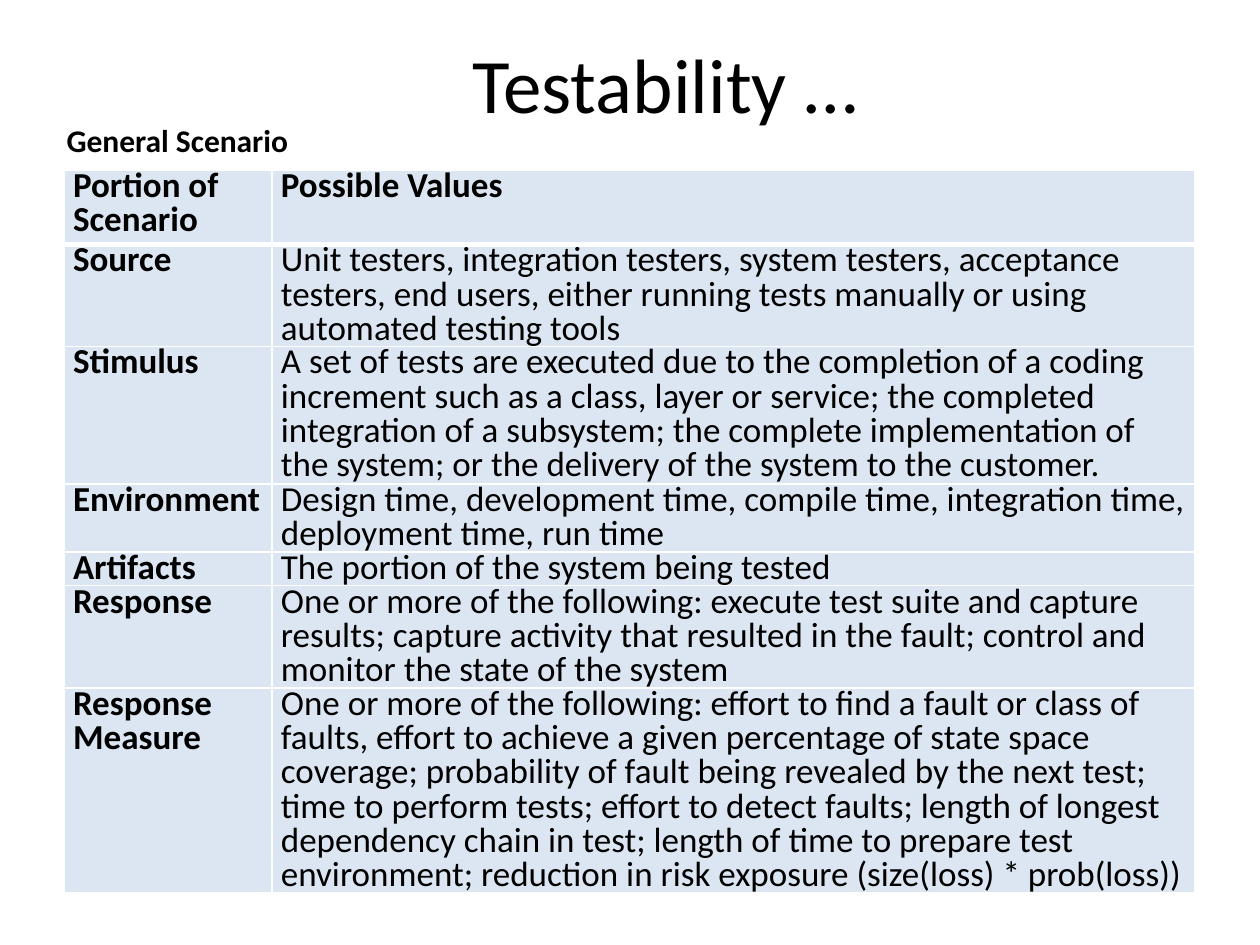
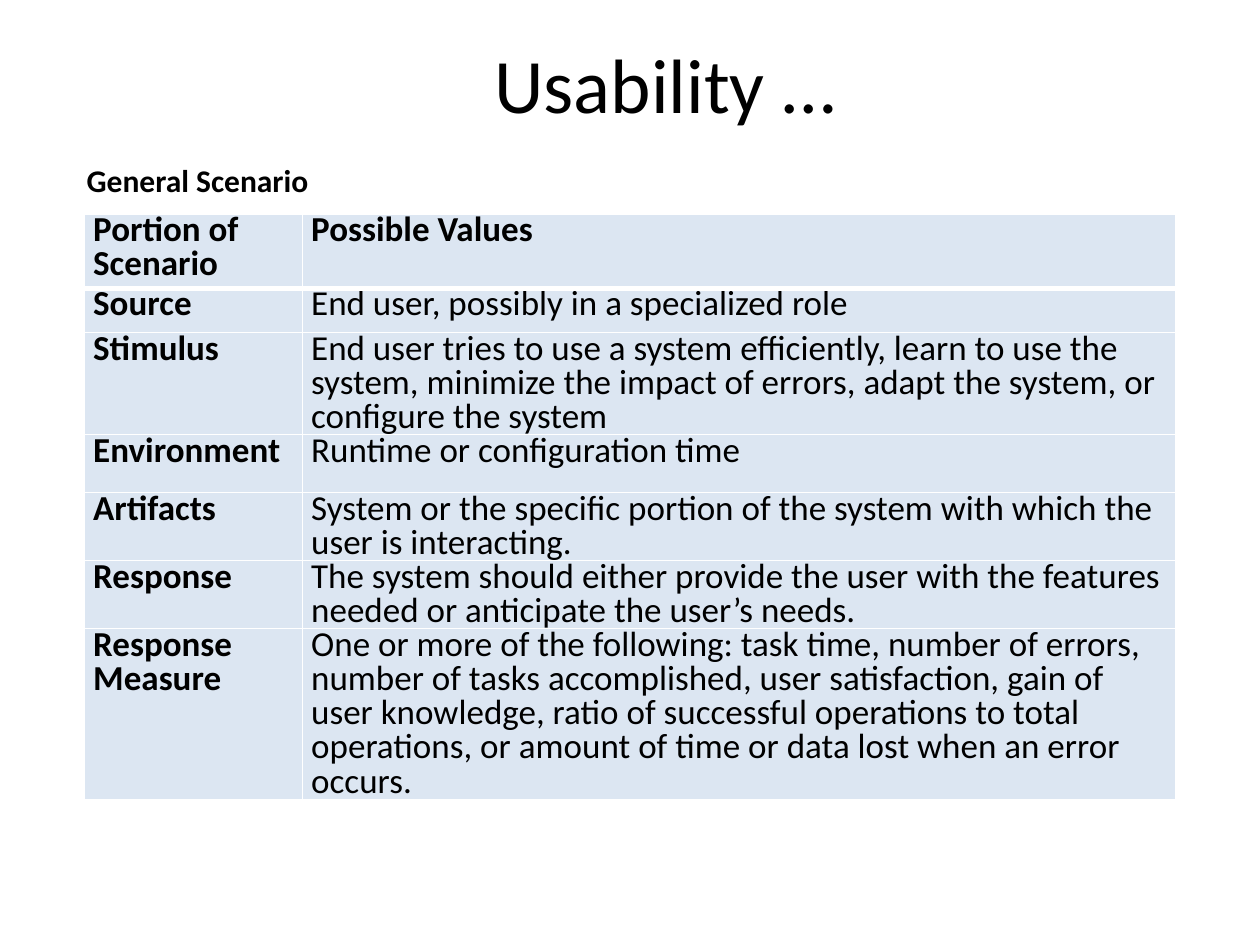
from lxml import etree
from pptx import Presentation
from pptx.dml.color import RGBColor
from pptx.enum import text
from pptx.oxml import ns
from pptx.util import Inches, Pt

FONT = "Calibri"
BLACK = "000000"
WHITE = "FFFFFF"
CELL_FILL = "DCE6F2"
LINE_SPACING = 0.8
THIN, THICK = 1, 3
TITLE_BOX = (1.06, 0.3, 8.44, 0.85)
HEADER = ("Portion of\nScenario", "Possible Values")
PORTIONS = ("Source", "Stimulus", "Environment", "Artifacts", "Response", "Response\nMeasure")

TESTABILITY = (
    "Unit testers, integration testers, system testers, acceptance testers, end users, "
    "either running tests manually or using automated testing tools",
    "A set of tests are executed due to the completion of a coding increment such as a class, "
    "layer or service; the completed integration of a subsystem; the complete implementation "
    "of the system; or the delivery of the system to the customer.",
    "Design time, development time, compile time, integration time, deployment time, run time",
    "The portion of the system being tested",
    "One or more of the following: execute test suite and capture results; capture activity "
    "that resulted in the fault; control and monitor the state of the system",
    "One or more of the following: effort to find a fault or class of faults, effort to achieve "
    "a given percentage of state space coverage; probability of fault being revealed by the "
    "next test; time to perform tests; effort to detect faults; length of longest dependency "
    "chain in test; length of time to prepare test environment; reduction in risk exposure "
    "(size(loss) * prob(loss))",
)
USABILITY = (
    "End user, possibly in a specialized role",
    "End user tries to use a system efficiently, learn to use the system, minimize the impact "
    "of errors, adapt the system, or configure the system",
    "Runtime or configuration time",
    "System or the specific portion of the system with which the user is interacting.",
    "The system should either provide the user with the features needed or anticipate the "
    "user’s needs.",
    "One or more of the following: task time, number of errors, number of tasks accomplished, "
    "user satisfaction, gain of user knowledge, ratio of successful operations to total "
    "operations, or amount of time or data lost when an error occurs.",
)


def color(value):
    """Turn a hex string into a colour."""
    return RGBColor.from_string(value)


def write(paragraph, wording, size, bold=False):
    """Add the wording run by run, with a line break between its lines."""
    for index, line in enumerate(wording.split("\n")):
        if index:
            paragraph.add_line_break()
        run = paragraph.add_run()
        run.text = line
        run.font.name = FONT
        run.font.size = Pt(size)
        run.font.bold = bold
        run.font.color.rgb = color(BLACK)


def add_text(slide, box, wording, size, bold=False):
    """Add a wrapping text box and return its frame."""
    frame = slide.shapes.add_textbox(*map(Inches, box)).text_frame
    frame.word_wrap = True
    write(frame.paragraphs[0], wording, size, bold)
    return frame


def add_title(slide, box, wording):
    """Add the centred slide title."""
    frame = add_text(slide, box, wording, 44)
    frame.vertical_anchor = text.MSO_ANCHOR.MIDDLE
    paragraph = frame.paragraphs[0]
    paragraph.alignment = text.PP_ALIGN.CENTER
    paragraph.line_spacing = LINE_SPACING


def add_borders(cell, top, bottom):
    """Draw white borders of the given top and bottom widths around a cell."""
    properties = cell._tc.get_or_add_tcPr()
    for side, width in zip("LRTB", (THIN, THIN, top, bottom)):
        line = etree.SubElement(properties, ns.qn(f"a:ln{side}"), w=str(Pt(width)))
        fill = etree.SubElement(line, ns.qn("a:solidFill"))
        etree.SubElement(fill, ns.qn("a:srgbClr"), val=WHITE)


def fill_cell(cell, wording, bold, top, bottom):
    """Style one table cell and write its wording."""
    add_borders(cell, top, bottom)
    cell.fill.solid()
    cell.fill.fore_color.rgb = color(CELL_FILL)
    cell.margin_left = cell.margin_right = Inches(0.07)
    cell.margin_top = cell.margin_bottom = 0
    paragraph = cell.text_frame.paragraphs[0]
    paragraph.line_spacing = LINE_SPACING
    write(paragraph, wording, 20, bold)


def add_scenario_table(slide, corner, widths, heights, values):
    """Add the table of scenario portions and their possible values."""
    rows = [HEADER, *zip(PORTIONS, values)]
    box = (*corner, sum(widths), sum(heights))
    table = slide.shapes.add_table(len(rows), len(widths), *map(Inches, box)).table
    table.first_row = table.horz_banding = False
    for column, width in zip(table.columns, widths):
        column.width = Inches(width)
    for row_index, (wordings, height) in enumerate(zip(rows, heights)):
        table.rows[row_index].height = Inches(height)
        top = THICK if row_index == 1 else THIN
        bottom = THICK if row_index == 0 else THIN
        for column_index, wording in enumerate(wordings):
            bold = row_index == 0 or column_index == 0
            fill_cell(table.cell(row_index, column_index), wording, bold, top, bottom)


def add_scenario_slide(presentation, title, label_corner, corner, widths, heights, values):
    """Add a slide with a title, a label and a scenario table."""
    slide = presentation.slides.add_slide(presentation.slide_layouts[6])
    add_title(slide, TITLE_BOX, title)
    add_scenario_table(slide, corner, widths, heights, values)
    add_text(slide, (*label_corner, 5, 0.4), "General Scenario", 18, bold=True)


def main():
    """Build and save the presentation."""
    presentation = Presentation()
    presentation.slide_width = Inches(10)
    presentation.slide_height = Inches(7.5)
    add_scenario_slide(
        presentation, "Testability …", (0.43, 0.91), (0.51, 1.35), (1.65, 7.32),
        (0.59, 0.81, 1.09, 0.54, 0.27, 0.81, 1.63), TESTABILITY,
    )
    add_scenario_slide(
        presentation, "Usability …", (0.59, 1.23), (0.67, 1.7), (1.73, 6.93),
        (0.59, 0.35, 0.81, 0.46, 0.54, 0.54, 1.36), USABILITY,
    )
    presentation.save("out.pptx")


if __name__ == "__main__":
    main()
